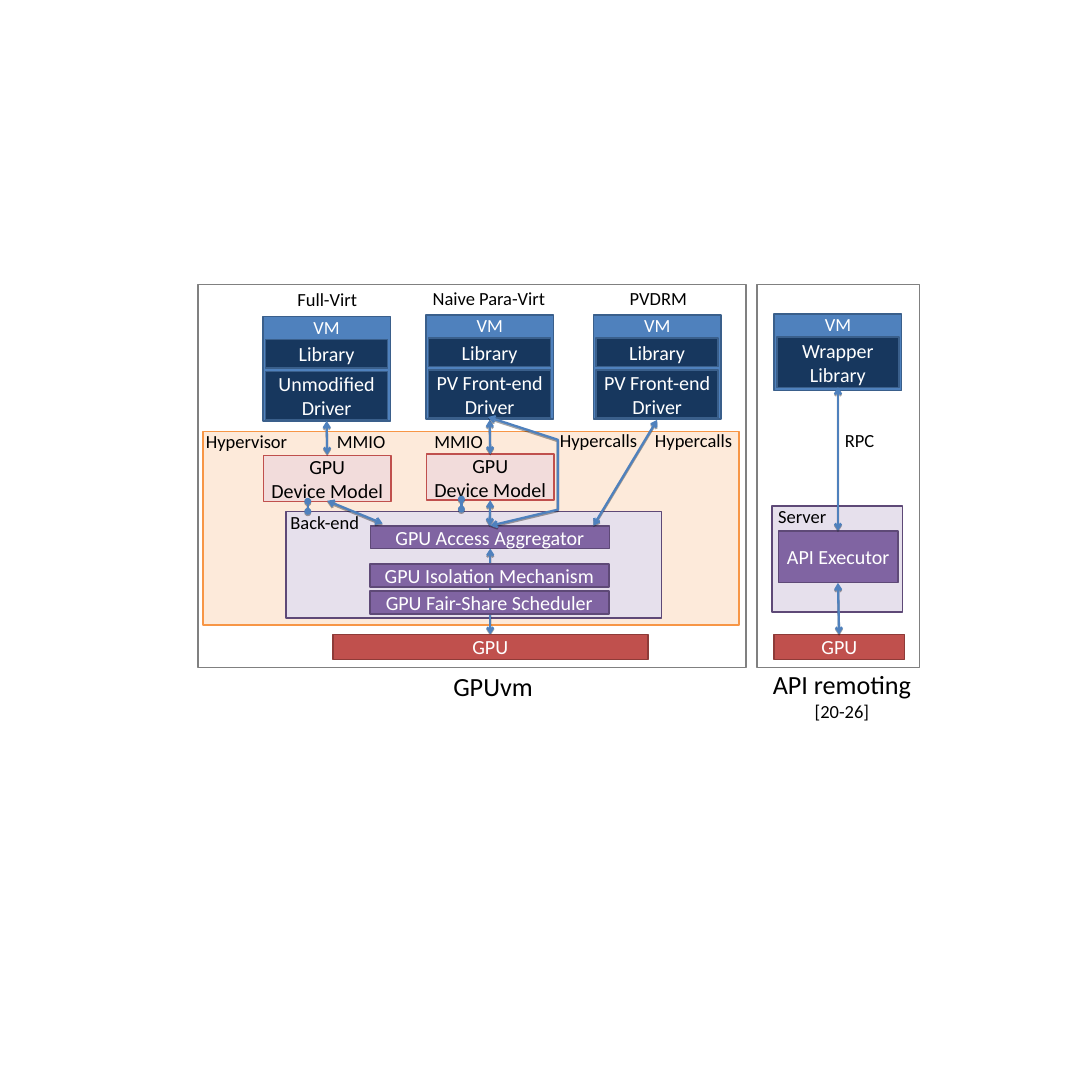
import pptx
import pptx.dml.color
import pptx.enum.shapes
import pptx.enum.text
import pptx.oxml.ns
import pptx.util
from lxml import etree

GRID = 19.69  # columns and rows on the square slide, one inch each
VM_WIDTH = 2.3
VM_INSET = 0.05
FONT = "Calibri"
BLACK, WHITE, ARROW_BLUE = "000000", "FFFFFF", "4F81BD"

# Each style holds fill, line and text colours.
STYLES = {
    "panel": (None, "808080", BLACK),
    "vm": ("4F81BD", "3A5F8B", WHITE),
    "layer": ("17375E", "3A5F8B", WHITE),
    "hypervisor": ("FDEADA", "F79646", BLACK),
    "container": ("E6E0EC", "5E4977", BLACK),
    "module": ("8064A2", "5E4977", WHITE),
    "gpu": ("C0504D", "8E3B38", WHITE),
    "device": ("F2DCDB", "C0504D", BLACK),
}

LIBRARY = (0.41, 0.52, ["Library"])
PARA_DRIVER = (0.99, 0.87, ["PV Front-end", "Driver"])
# Left, top, height, then layers as (offset, height, lines).
VIRTUAL_MACHINES = [
    (13.96, 5.66, 1.38, [(0.42, 0.91, ["Wrapper", "Library"])]),
    (4.74, 5.71, 1.88, [LIBRARY, (0.99, 0.87, ["Unmodified", "Driver"])]),
    (7.68, 5.68, 1.88, [LIBRARY, PARA_DRIVER]),
    (10.7, 5.68, 1.88, [LIBRARY, PARA_DRIVER]),
]

PANELS = [
    ("panel", 13.65, 5.13, 2.93, 6.91),
    ("panel", 3.57, 5.13, 9.88, 6.91),
    ("hypervisor", 3.66, 7.78, 9.67, 3.49),
    ("container", 5.16, 9.22, 6.77, 1.92),
    ("container", 13.92, 9.12, 2.35, 1.92),
]

COMPONENTS = [
    ("gpu", 6, 11.44, 5.68, 0.45, ["GPU"]),
    ("gpu", 13.96, 11.44, 2.35, 0.45, ["GPU"]),
    ("module", 6.67, 10.66, 4.31, 0.41, ["GPU Fair-Share Scheduler"]),
    ("module", 6.67, 10.17, 4.31, 0.41, ["GPU Isolation Mechanism"]),
    ("module", 6.68, 9.48, 4.31, 0.41, ["GPU Access Aggregator"]),
    ("module", 14.04, 9.57, 2.15, 0.93, ["API Executor"]),
    ("device", 4.75, 8.21, 2.3, 0.83, ["GPU", "Device Model"]),
    ("device", 7.69, 8.19, 2.3, 0.83, ["GPU", "Device Model"]),
]

LABELS = [
    (5.18, 5.14, 1.44, "Full-Virt"),
    (7.58, 5.13, 2.47, "Naive Para-Virt"),
    (11.15, 5.12, 1.44, "PVDRM"),
    (3.6, 7.71, 1.69, "Hypervisor"),
    (5.95, 7.7, 1.12, "MMIO"),
    (7.71, 7.7, 1.12, "MMIO"),
    (9.95, 7.68, 1.68, "Hypercalls"),
    (11.66, 7.68, 1.69, "Hypercalls"),
    (14.97, 7.69, 1.06, "RPC"),
    (4.92, 9.16, 1.87, "Back-end"),
    (13.75, 9.06, 1.43, "Server"),
]

SCHEDULER_TO_GPU = [(8.84, 9.89), (8.84, 11.44)]
ARROWS = [
    [(5.89, 7.59), (5.9, 8.2)],
    [(8.83, 7.57), (8.84, 8.19)],
    [(11.85, 7.57), (10.7, 9.48)],
    [(15.11, 10.51), (15.13, 11.44)],
    [(15.11, 6.98), (15.11, 9.57)],
    [(5.9, 9.03), (6.9, 9.44)],
    [(8.84, 9.02), (8.83, 9.48)],
    [(8.8, 7.52), (10.06, 7.93), (10.06, 9.19), (8.84, 9.48)],
]
DOTTED_ENDS = [
    [(5.55, 9.04), (5.55, 9.22)],
    [(8.32, 9), (8.32, 9.18)],
]


def cells(*counts):
    return [pptx.util.Inches(count) for count in counts]


def rgb(value):
    return pptx.dml.color.RGBColor.from_string(value)


def set_values(target, values):
    for name, value in values.items():
        setattr(target, name, value)


def write_lines(frame, lines, sizes, color):
    """Fill a text frame with centred lines, one size for each line."""
    frame.word_wrap = True
    for index, (line, size) in enumerate(zip(lines, sizes)):
        paragraph = frame.add_paragraph() if index else frame.paragraphs[0]
        paragraph.alignment = pptx.enum.text.PP_ALIGN.CENTER
        run = paragraph.add_run()
        run.text = line
        set_values(run.font, {"name": FONT, "size": pptx.util.Pt(size)})
        run.font.color.rgb = rgb(color)


def add_box(shapes, style, left, top, width, height, lines=()):
    fill, line, text = STYLES[style]
    box = shapes.add_shape(pptx.enum.shapes.MSO_SHAPE.RECTANGLE,
                           *cells(left, top, width, height))
    box.shadow.inherit = False
    if fill:
        box.fill.solid()
        box.fill.fore_color.rgb = rgb(fill)
    else:
        box.fill.background()
    box.line.color.rgb = rgb(line)
    box.line.width = pptx.util.Pt(2)
    box.text_frame.vertical_anchor = pptx.enum.text.MSO_ANCHOR.MIDDLE
    write_lines(box.text_frame, lines, [26] * len(lines), text)


def add_label(shapes, left, top, width, lines, sizes=(24,), color=BLACK):
    height = 0.5 if sizes == (24,) else 0.67
    label = shapes.add_textbox(*cells(left, top, width, height))
    write_lines(label.text_frame, lines, sizes, color)


def add_virtual_machine(shapes, left, top, height, layers):
    group = shapes.add_group_shape().shapes
    add_box(group, "vm", left, top, VM_WIDTH, height)
    for offset, layer_height, lines in layers:
        add_box(group, "layer", left + VM_INSET, top + offset,
                VM_WIDTH - 2 * VM_INSET, layer_height, lines)
    add_label(group, left, top - 0.06, VM_WIDTH, ["VM"], color=WHITE)


def add_arrow(shapes, points, end="arrow"):
    """Join the points by a shadowed line with the same mark at both ends."""
    corners = [cells(*point) for point in points]
    if len(corners) == 2:
        arrow = shapes.add_connector(
            pptx.enum.shapes.MSO_CONNECTOR.STRAIGHT, *corners[0], *corners[1])
    else:
        builder = shapes.build_freeform(*corners[0])
        builder.add_line_segments(corners[1:], close=False)
        arrow = builder.convert_to_shape()
        arrow.fill.background()
    arrow.line.color.rgb = rgb(ARROW_BLUE)
    arrow.line.width = pptx.util.Pt(3)

    qn = pptx.oxml.ns.qn
    properties = arrow._element.spPr
    outline = properties.find(qn("a:ln"))
    for tag in ("a:headEnd", "a:tailEnd"):
        etree.SubElement(outline, qn(tag), type=end)
    effects = etree.SubElement(properties, qn("a:effectLst"))
    shadow = etree.SubElement(effects, qn("a:outerShdw"), blurRad="0",
                              dist=str(pptx.util.Pt(1.8)), dir="5400000",
                              rotWithShape="0")
    color = etree.SubElement(shadow, qn("a:srgbClr"), val=BLACK)
    etree.SubElement(color, qn("a:alpha"), val="35000")


def main():
    presentation = pptx.Presentation()
    side, = cells(GRID)
    set_values(presentation, {"slide_width": side, "slide_height": side})
    slide = presentation.slides.add_slide(presentation.slide_layouts[6])
    shapes = slide.shapes

    for panel in PANELS:
        add_box(shapes, *panel)
    for machine in VIRTUAL_MACHINES:
        add_virtual_machine(shapes, *machine)
    add_arrow(shapes, SCHEDULER_TO_GPU)
    for component in COMPONENTS:
        add_box(shapes, *component)
    for left, top, width, text in LABELS:
        add_label(shapes, left, top, width, [text])
    add_label(shapes, 7.72, 12.04, 2.34, ["GPUvm"], (34,))
    add_label(shapes, 13.52, 12, 3.32, ["API remoting", "[20-26]"], (34, 24))
    for points in ARROWS:
        add_arrow(shapes, points)
    for points in DOTTED_ENDS:
        add_arrow(shapes, points, "oval")

    presentation.save("out.pptx")


if __name__ == "__main__":
    main()
